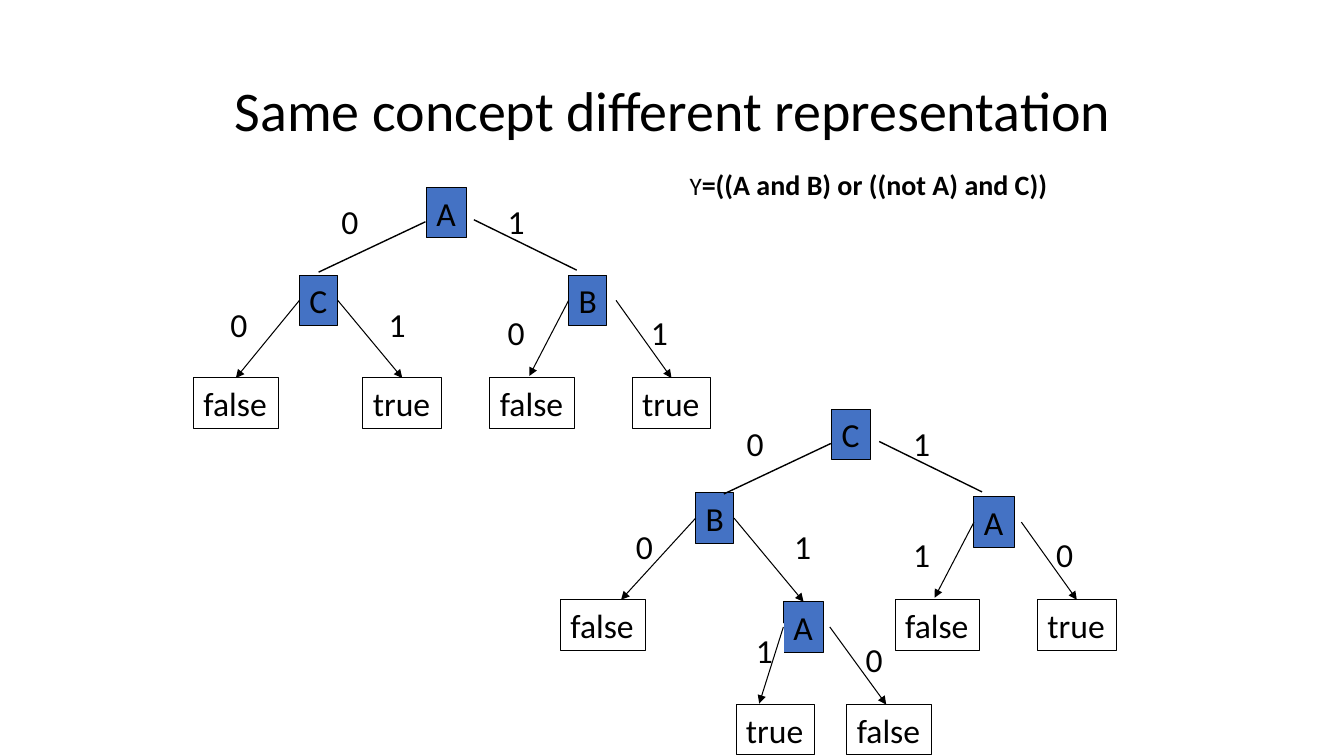
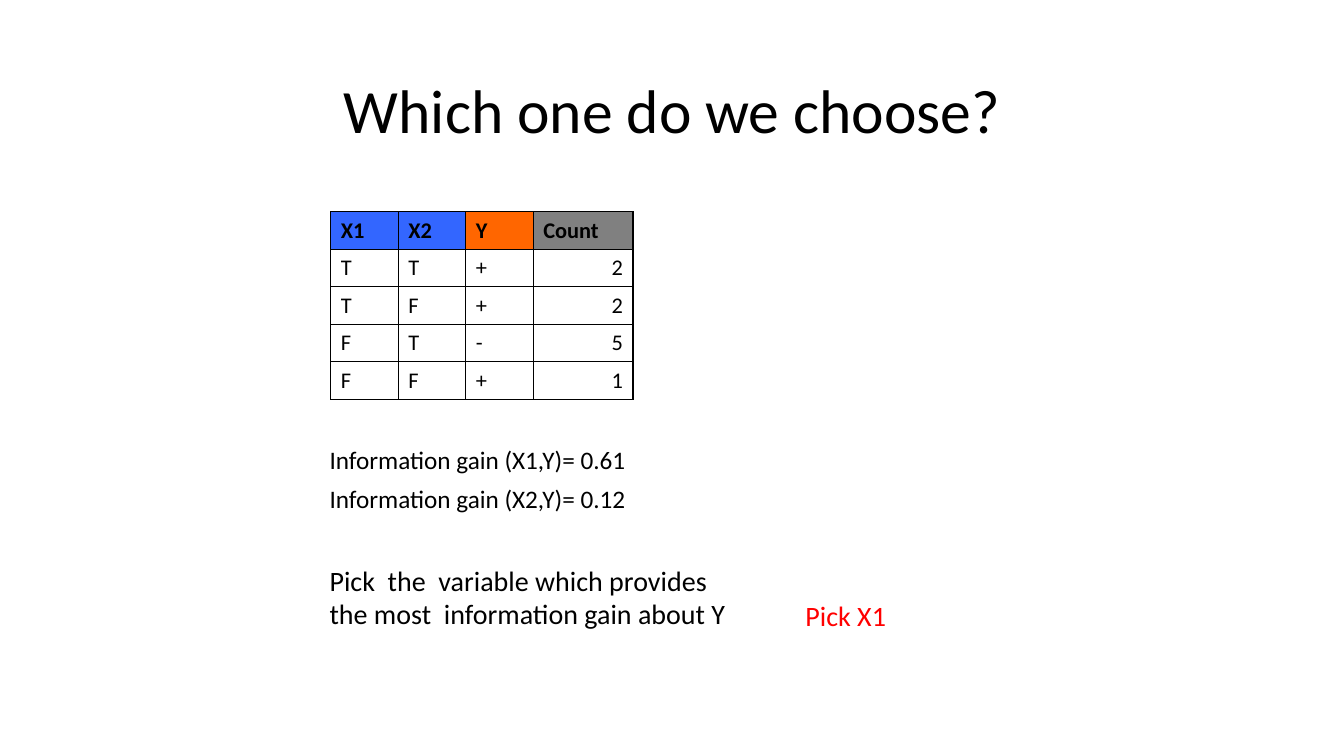
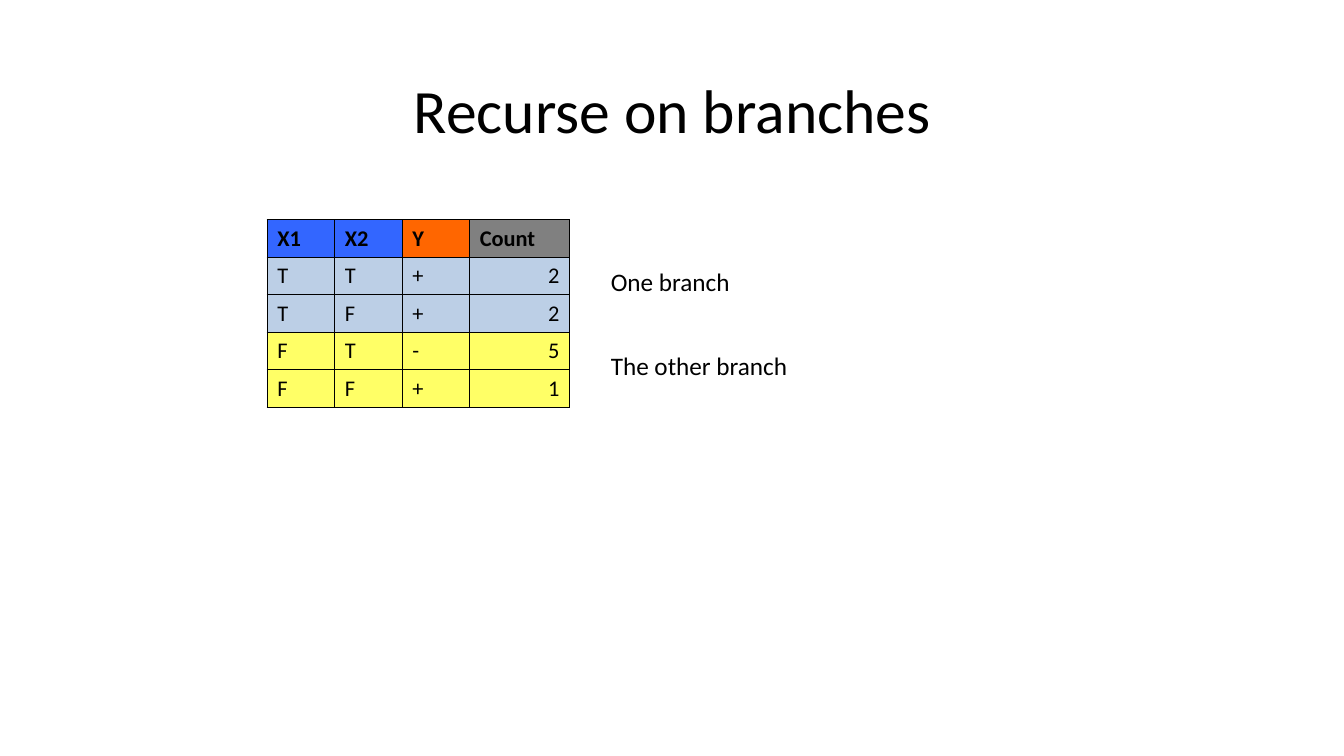
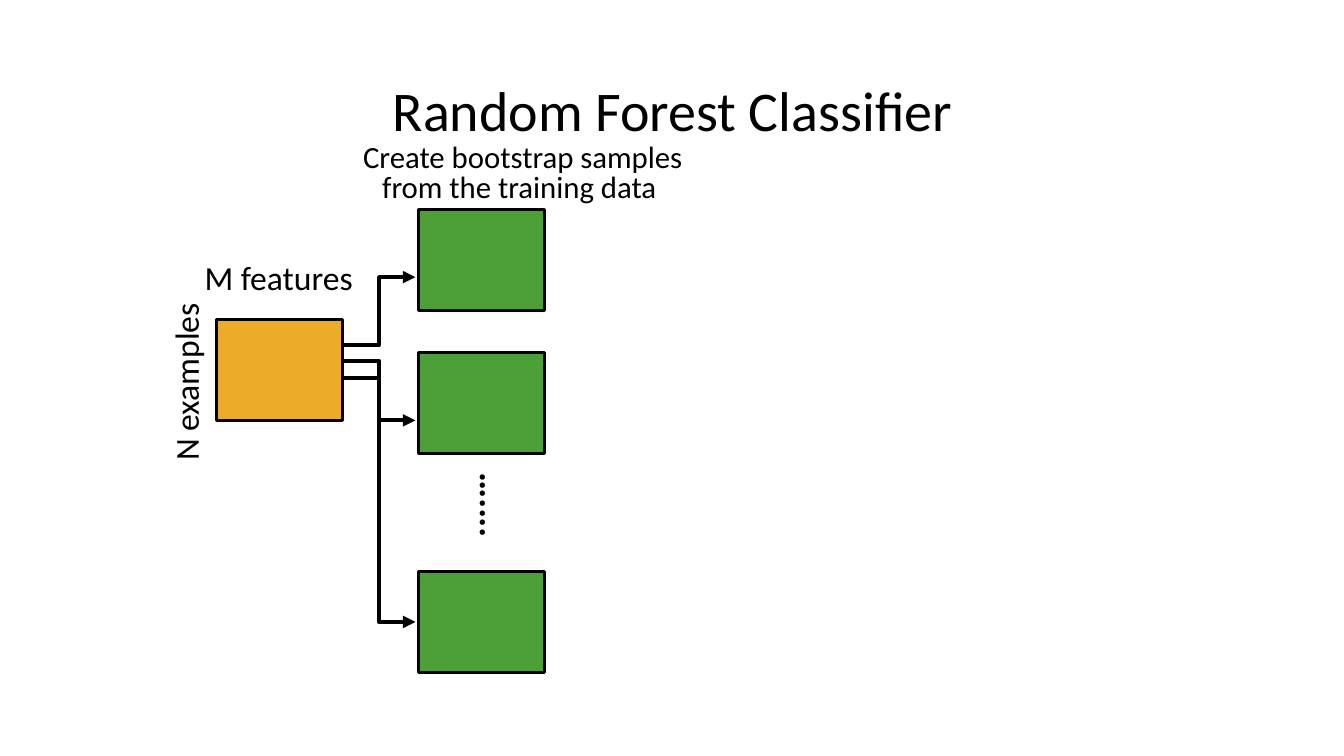
"""Four slides on decision trees, information gain and random forests."""
from pptx import Presentation
from pptx.util import Inches, Pt
from pptx.dml.color import RGBColor
from pptx.enum.shapes import MSO_SHAPE as Kind, MSO_CONNECTOR as Link
from pptx.enum.text import PP_ALIGN as Align, MSO_ANCHOR as Anchor, MSO_AUTO_SIZE as Fit
from pptx.oxml.ns import qn
from lxml.etree import SubElement, Element

FONT, BLACK, WHITE, RED = "Calibri", "000000", "FFFFFF", "FF0000"
BLUE, GREEN, GOLD = "4472C4", "4D9F37", "ECAB28"
SKY, LEMON = "BCCFE6", "FFFF66"
SIZE = (13.33, 7.5)
TITLE = (0.92, 0.4, 11.5, 1.45)

WIDTH = {"A": 0.4, "B": 0.38, "C": 0.38, "true": 0.78, "false": 0.84}
TALL = 0.5
MARK = (0.38, 0.51)

FRAME = [(4.23, 1.86), (5.64, 2.73), (4.86, 3.75), (6.27, 3.75)]
MARKS = [(3.28, 1.94), (4.93, 1.94), (2.18, 2.96), (3.75, 2.96), (4.93, 3.04), (6.35, 3.04)]
STEMS = [(4.22, 2.2, 3.16, 2.7), (4.7, 2.18, 5.72, 2.68)]
TWIGS = [(5.64, 2.98, 5.25, 3.73), (6.11, 2.98, 6.67, 3.75)]
TREES = [
    {"shift": (0, 0), "frame": ["A", "B", "false", "true"], "digits": "010101",
     "nodes": [("C", 2.97, 2.73), ("false", 1.92, 3.75), ("true", 3.6, 3.75)],
     "marks": [],
     "twigs": [(2.97, 2.98, 2.34, 3.75), (3.35, 2.98, 3.98, 3.75)]},
    {"shift": (4.02, 2.2), "frame": ["C", "A", "false", "true"], "digits": "010110",
     "nodes": [("B", 6.9, 4.89), ("false", 5.56, 5.95), ("A", 7.77, 5.97),
               ("true", 7.3, 6.99), ("false", 8.4, 6.99)],
     "marks": [("1", 7.39, 6.19), ("0", 8.48, 6.28)],
     "twigs": [(6.9, 5.15, 6.16, 5.95), (7.29, 5.15, 7.98, 5.95),
               (7.77, 6.22, 7.53, 6.98), (8.23, 6.22, 8.79, 6.99)]},
]

HEAD = [("X1", "3366FF"), ("X2", "3366FF"), ("Y", "FF6600"), ("Count", "808080")]
ROWS = ["TT+2", "TF+2", "FT-5", "FF+1"]
COLS, ROW = [0.67, 0.67, 0.67, 0.99], 0.37

GAINS = ["Information gain (X1,Y)= 0.61", "Information gain (X2,Y)= 0.12"]
ADVICE = ["Pick  the  variable which provides", "the most  information gain about Y"]
BRANCHES = ["One branch", "The other branch"]

DATA = (2.15, 3.17)
BLOCK = (1.25, 1)
SAMPLES = [2.08, 3.5, 5.67]
PATHS = [(3.75, 4.17), (3.58, 6.17), (3.42, 2.75)]


def color(code):
    """Turn a hex string into a colour."""
    return RGBColor.from_string(code)


def inch(*nums):
    """Turn numbers into lengths in inches."""
    return [Inches(n) for n in nums]


def write(para, text, size, ink=BLACK, bold=False):
    """Add one run to a paragraph."""
    run = para.add_run()
    run.text = text
    font = run.font
    font.name, font.size, font.bold = FONT, Pt(size), bold
    font.color.rgb = color(ink)


def fill(frame, lines, align=Align.LEFT, space=None, wrap=False):
    """Write paragraphs, each a list of runs, into a text frame."""
    frame.word_wrap = wrap
    frame.auto_size = Fit.SHAPE_TO_FIT_TEXT
    for i, runs in enumerate(lines):
        para = frame.add_paragraph() if i else frame.paragraphs[0]
        para.alignment = align
        if space:
            para.line_spacing = space
        for run in runs:
            write(para, *run)


def label(page, at, *lines, turn=0, **style):
    """Add a text box."""
    box = page.shapes.add_textbox(*inch(*at))
    box.rotation = turn
    fill(box.text_frame, lines, **style)


def rect(page, at, paint=None, edge=BLACK, width=0.75):
    """Add a plain rectangle."""
    box = page.shapes.add_shape(Kind.RECTANGLE, *inch(*at))
    box.shadow.inherit = False
    if paint:
        box.fill.solid()
        box.fill.fore_color.rgb = color(paint)
    else:
        box.fill.background()
    box.line.color.rgb = color(edge)
    box.line.width = Pt(width)
    return box


def line(page, ends, width, kind=Link.STRAIGHT, arrow=True):
    """Add a connector, with an arrowhead at its end if wanted."""
    wire = page.shapes.add_connector(kind, *inch(*ends))
    wire.line.color.rgb = color(BLACK)
    wire.line.width = Pt(width)
    if arrow:
        SubElement(wire.line._get_or_add_ln(), qn("a:tailEnd"), type="triangle")
    SubElement(wire._element.spPr, qn("a:effectLst"))
    return wire


def site(boxes, x, y):
    """Find the box and side whose middle lies at a point."""
    for box, (l, t, w, h) in boxes:
        spots = [(l + w / 2, t), (l, t + h / 2), (l + w / 2, t + h), (l + w, t + h / 2)]
        for side, (a, b) in enumerate(spots):
            if max(abs(a - x), abs(b - y)) < 0.025:
                return box, side
    return None


def start(deck, title, size=44):
    """Add a slide with its title."""
    page = deck.slides.add_slide(deck.slide_layouts[5])
    head = page.shapes.title
    head.left, head.top, head.width, head.height = inch(*TITLE)
    fill(head.text_frame, [[(title, size)]], Align.CENTER, 0.9, True)
    head.text_frame.auto_size = Fit.NONE
    head.text_frame.vertical_anchor = Anchor.MIDDLE
    return page


def tree(page, plan):
    """Draw one decision tree: nodes, then marks, then lines."""
    dx, dy = plan["shift"]
    nodes = [(n, x + dx, y + dy) for n, (x, y) in zip(plan["frame"], FRAME)]
    marks = [(d, x + dx, y + dy) for d, (x, y) in zip(plan["digits"], MARKS)]
    boxes = []
    for name, x, y in nodes + plan["nodes"]:
        at = (x, y, WIDTH[name], TALL)
        box = rect(page, at, BLUE if len(name) == 1 else None)
        fill(box.text_frame, [[(name, 24)]])
        boxes.append((box, at))
    for digit, x, y in marks + plan["marks"]:
        box = rect(page, (x, y, *MARK), edge=WHITE, width=1)
        fill(box.text_frame, [[(digit, 24)]], Align.CENTER)
    move = lambda ends: [n + d for n, d in zip(ends, (dx, dy, dx, dy))]
    for ends in map(move, STEMS):
        line(page, ends, 1, arrow=False)
    for ends in [*map(move, TWIGS), *plan["twigs"]]:
        wire = line(page, ends, 0.75)
        for join, spot in ((wire.begin_connect, ends[:2]), (wire.end_connect, ends[2:])):
            found = site(boxes, *spot)
            if found:
                join(*found)


def border(cell):
    """Give a cell thin black edges."""
    props = cell._tc.get_or_add_tcPr()
    for i, side in enumerate("LRTB"):
        edge = Element(qn("a:ln" + side), w=str(Pt(1)))
        SubElement(SubElement(edge, qn("a:solidFill")), qn("a:srgbClr"), val=BLACK)
        props.insert(i, edge)


def counts(page, x, y, paints):
    """Add the table of counts, one body paint per row."""
    rows = [HEAD] + [[(c, p) for c in row] for row, p in zip(ROWS, paints)]
    grid = page.shapes.add_table(len(rows), len(COLS),
                                 *inch(x, y, sum(COLS), ROW * len(rows))).table
    grid.first_row = grid.horz_banding = False
    for col, width in zip(grid.columns, COLS):
        col.width = Inches(width)
    for r, row in enumerate(rows):
        grid.rows[r].height = Inches(ROW)
        for c, (text, paint) in enumerate(row):
            cell = grid.cell(r, c)
            cell.vertical_anchor = Anchor.BOTTOM
            if paint:
                cell.fill.solid()
                cell.fill.fore_color.rgb = color(paint)
            else:
                cell.fill.background()
            border(cell)
            para = cell.text_frame.paragraphs[0]
            para.alignment = Align.RIGHT if r and c == 3 else Align.LEFT
            write(para, text, 16, bold=r == 0)


def forest(page):
    """Draw the data block, its samples and the paths between them."""
    label(page, (0.95, 3.53, 1.78, 0.5), [("N examples", 24)], turn=270)
    label(page, (2.1, 1.39, 6.17, 0.7), [("Create bootstrap samples", 22)],
          [("from the training data ", 22)], align=Align.CENTER, space=0.8, wrap=True)
    for y in SAMPLES:
        rect(page, (4.15, y, *BLOCK), GREEN, width=2.25)
    label(page, (4.24, 4.74, 0.85, 0.53), [("....…", 26, BLACK, True)], turn=270)
    rect(page, (*DATA, *BLOCK), GOLD, width=2.25)
    for y, end in PATHS:
        line(page, (DATA[0] + BLOCK[0], y, 4.12, end), 3, Link.ELBOW)
    label(page, (1.93, 2.5, 1.69, 0.5), [("M features", 24)])


def main():
    """Build and save the deck."""
    deck = Presentation()
    deck.slide_width, deck.slide_height = inch(*SIZE)

    page = start(deck, "Same concept different representation", 40)
    for plan in TREES:
        tree(page, plan)
    label(page, (6.74, 1.61, 3.79, 0.43),
          [("Y", 18), ("=((A and B) or ((not A) and C))", 20, BLACK, True)])

    page = start(deck, "Which one do we choose?")
    counts(page, 3.28, 2.1, [None] * 4)
    for i, text in enumerate(GAINS):
        label(page, (3.17, 4.36 + 0.39 * i, 3.17, 0.4), [(text, 18)])
    label(page, (7.89, 5.89, 1, 0.43), [("Pick X1", 20, RED)])
    label(page, (3.17, 5.54, 7.72, 0.77), *[[(text, 20)] for text in ADVICE], wrap=True)

    page = start(deck, "Recurse on branches")
    counts(page, 2.65, 2.18, [SKY, SKY, LEMON, LEMON])
    for i, (text, width) in enumerate(zip(BRANCHES, (1.4, 1.97))):
        label(page, (5.96, 2.59 + 0.84 * i, width, 0.4), [(text, 18)])

    forest(start(deck, "Random Forest Classifier", 40))
    deck.save("out.pptx")


if __name__ == "__main__":
    main()
